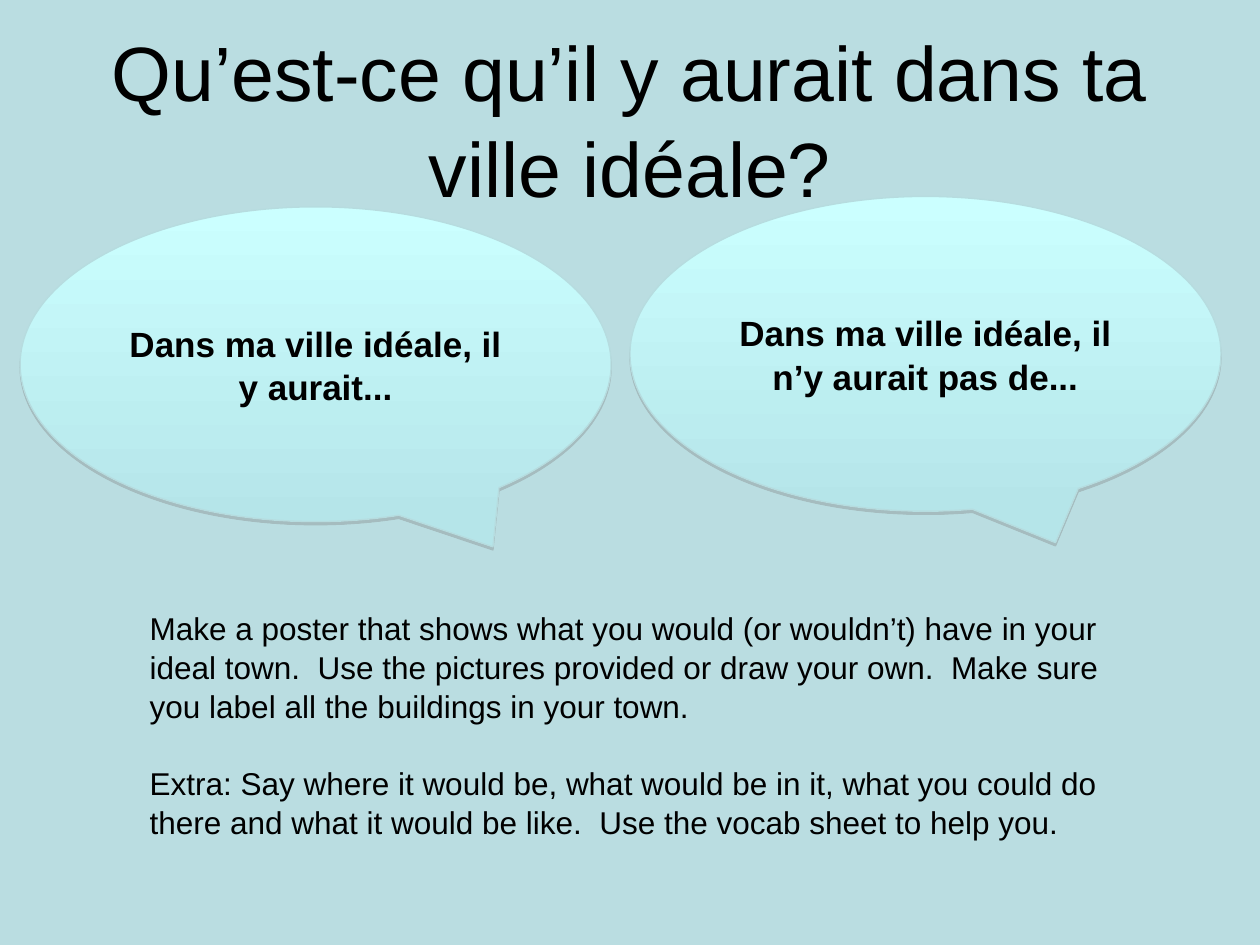
from lxml import etree
from pptx import Presentation
from pptx.dml.color import RGBColor
from pptx.enum.shapes import MSO_SHAPE as Shape
from pptx.enum.text import MSO_ANCHOR as Anchor, MSO_AUTO_SIZE as AutoSize, PP_ALIGN as Align
from pptx.oxml.ns import qn
from pptx.util import Inches, Pt

WIDTH, HEIGHT = Inches(10), Inches(7.5)
TITLE_ONLY = 5
BUBBLE_WIDTH, BUBBLE_HEIGHT = 0.469, 0.333
TITLE_FORMAT = {"size": Pt(44), "bold": False}
BUBBLE_FORMAT = {"size": Pt(20), "bold": True}
TASK_FORMAT = {"size": Pt(18), "bold": False}
BUBBLES = [
    ("Dans ma ville idéale, il y aurait...", (0.016, 0.219), (0.3, 0.58)),
    ("Dans ma ville idéale, il n’y aurait pas de...", (0.5, 0.208), (0.22, 0.6)),
]
TASKS = [
    "Make a poster that shows what you would (or wouldn’t) have in your ideal town.  "
    "Use the pictures provided or draw your own.  Make sure you label all the buildings in your town.",
    "Extra: Say where it would be, what would be in it, what you could do there "
    "and what it would be like.  Use the vocab sheet to help you.",
]


def color(value):
    return RGBColor.from_string(value)


def scale(left, top, width, height):
    return (round(left * WIDTH), round(top * HEIGHT),
            round(width * WIDTH), round(height * HEIGHT))


def write(frame, texts, font_format, align, anchor):
    frame.word_wrap = True
    frame.auto_size = AutoSize.NONE
    frame.vertical_anchor = anchor
    for index, text in enumerate(texts):
        paragraph = frame.paragraphs[0] if index == 0 else frame.add_paragraph()
        paragraph.text = text
        paragraph.alignment = align
        paragraph.line_spacing = 1.04
        paragraph.space_before = Pt(21.5) if index else Pt(0)
        for name, value in {"name": "Arial", **font_format}.items():
            setattr(paragraph.font, name, value)
        paragraph.font.color.rgb = color("000000")


def add_shadow(shape):
    shape.shadow.inherit = False
    effects = shape.element.spPr.find(qn("a:effectLst"))
    shadow = etree.SubElement(effects, qn("a:outerShdw"), blurRad="0",
                              dist=str(Pt(1.8)), dir="5400000", rotWithShape="0")
    tint = etree.SubElement(shadow, qn("a:srgbClr"), val="808080")
    etree.SubElement(tint, qn("a:alpha"), val="35000")


def add_title(slide, text, box):
    title = slide.shapes.title
    title.left, title.top, title.width, title.height = scale(*box)
    write(title.text_frame, [text], TITLE_FORMAT, Align.CENTER, Anchor.MIDDLE)


def add_bubble(slide, text, box, tail):
    bubble = slide.shapes.add_shape(Shape.OVAL_CALLOUT, *scale(*box))
    for index, share in enumerate(tail):
        bubble.adjustments[index] = share
    bubble.fill.gradient()
    bubble.fill.gradient_angle = 270
    for stop, shade in zip(bubble.fill.gradient_stops, ("CBFFFF", "B5E5E9")):
        stop.color.rgb = color(shade)
    bubble.line.color.rgb = color("B6DCDF")
    bubble.line.width = Pt(0.75)
    add_shadow(bubble)
    write(bubble.text_frame, [text], BUBBLE_FORMAT, Align.CENTER, Anchor.MIDDLE)


def add_tasks(slide, texts, box):
    textbox = slide.shapes.add_textbox(*scale(*box))
    write(textbox.text_frame, texts, TASK_FORMAT, Align.LEFT, Anchor.TOP)


def main():
    presentation = Presentation()
    presentation.slide_width, presentation.slide_height = WIDTH, HEIGHT
    slide = presentation.slides.add_slide(presentation.slide_layouts[TITLE_ONLY])
    slide.background.fill.solid()
    slide.background.fill.fore_color.rgb = color("BADDE1")
    add_title(slide, "Qu’est-ce qu’il y aurait dans ta ville idéale?", (0.05, 0.04, 0.9, 0.167))
    for text, corner, tail in BUBBLES:
        add_bubble(slide, text, (*corner, BUBBLE_WIDTH, BUBBLE_HEIGHT), tail)
    add_tasks(slide, TASKS, (0.109, 0.636, 0.813, 0.253))
    presentation.save("out.pptx")


if __name__ == "__main__":
    main()
